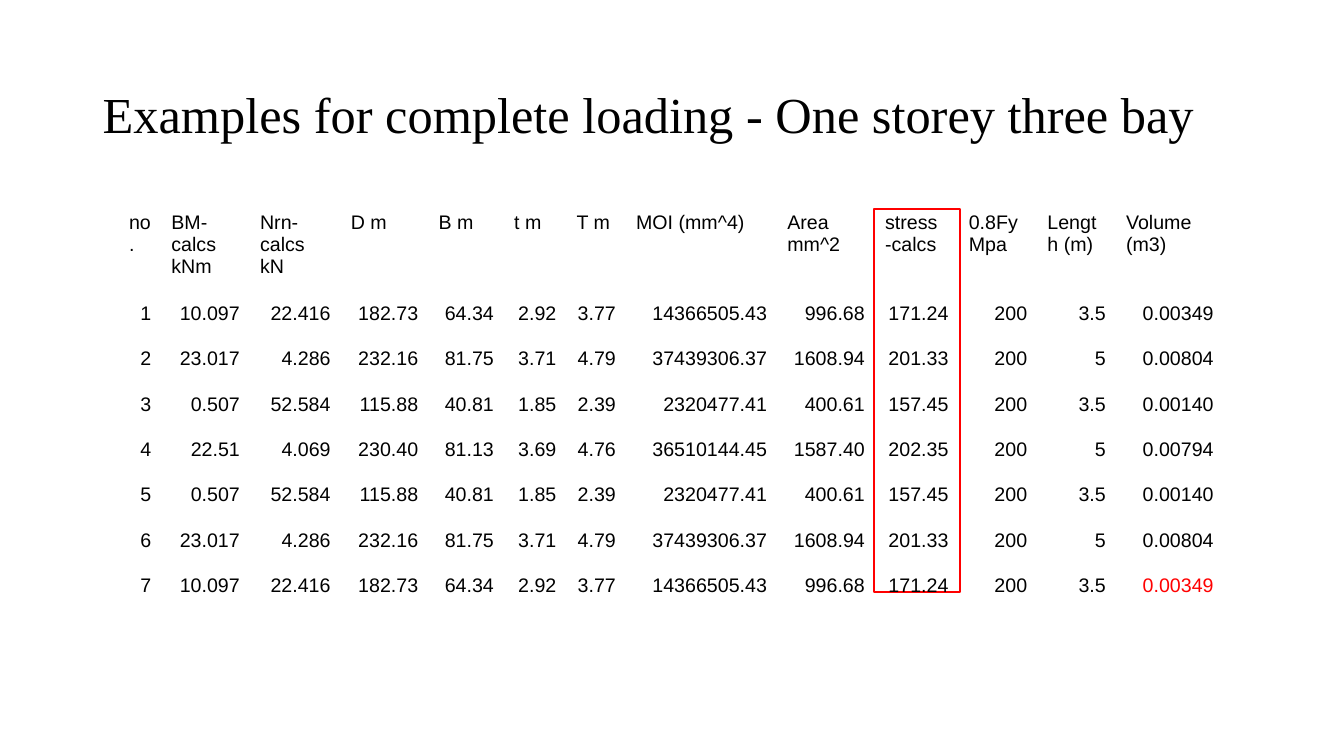
from dataclasses import dataclass

from pptx import Presentation
from pptx.dml.color import RGBColor
from pptx.enum.shapes import MSO_SHAPE
from pptx.enum.text import MSO_ANCHOR, PP_ALIGN
from pptx.oxml.ns import qn
from pptx.util import Pt

RECTANGLE = MSO_SHAPE.RECTANGLE
MIDDLE = MSO_ANCHOR.MIDDLE
LEFT, RIGHT = PP_ALIGN.LEFT, PP_ALIGN.RIGHT

EMU_PER_PX = 9144  # 100 px to the inch
BLANK_LAYOUT = 6
PLAIN_TABLE_STYLE = "{2D5ABB26-0587-4C30-8999-92F81FD0307C}"


@dataclass(frozen=True)
class Theme:
    ink: str = "000000"
    accent: str = "FF0000"
    title_font: str = "Times New Roman"
    table_font: str = "Arial"
    title_size: int = 36
    table_size: int = 14
    outline: float = 1.5


THEME = Theme()

COLUMN_WIDTHS = [42, 88, 90, 87, 75, 62, 59, 150, 97, 83, 78, 78, 107]
HEADER_HEIGHT, ROW_HEIGHT = 87, 45
CELL_INSET = 10

HEADINGS = ["no.", "BM-calcs kNm", "Nrn-calcs kN", "D m", "B m", "t m", "T m",
            "MOI (mm^4)", "Area mm^2", "stress -calcs", "0.8Fy Mpa",
            "Length (m)", "Volume (m3)"]

OUTER_COLUMN = ["10.097", "22.416", "182.73", "64.34", "2.92", "3.77",
                "14366505.43", "996.68", "171.24", "200", "3.5", "0.00349"]
OUTER_BEAM = ["23.017", "4.286", "232.16", "81.75", "3.71", "4.79",
              "37439306.37", "1608.94", "201.33", "200", "5", "0.00804"]
INNER_COLUMN = ["0.507", "52.584", "115.88", "40.81", "1.85", "2.39",
                "2320477.41", "400.61", "157.45", "200", "3.5", "0.00140"]
MIDDLE_BEAM = ["22.51", "4.069", "230.40", "81.13", "3.69", "4.76",
               "36510144.45", "1587.40", "202.35", "200", "5", "0.00794"]
# The frame is symmetric about its middle beam.
MEMBERS = [OUTER_COLUMN, OUTER_BEAM, INNER_COLUMN, MIDDLE_BEAM,
           INNER_COLUMN, OUTER_BEAM, OUTER_COLUMN]


def px(length):
    return length * EMU_PER_PX


def write_text(frame, text, *, font, size, color=THEME.ink, align=LEFT, spacing=1.0):
    para = frame.paragraphs[0]
    para.alignment = align
    para.line_spacing = spacing
    span = para.add_run()
    span.text = text
    span.font.name = font
    span.font.size = Pt(size)
    span.font.color.rgb = RGBColor.from_string(color)


def add_title(slide, text, left, top, width, height):
    box = slide.shapes.add_textbox(px(left), px(top), px(width), px(height))
    frame = box.text_frame
    frame.word_wrap = True
    frame.vertical_anchor = MIDDLE
    frame.margin_top = px(13)
    write_text(frame, text, font=THEME.title_font, size=THEME.title_size, spacing=0.9)


def add_highlight(slide, left, top, width, height):
    box = slide.shapes.add_shape(RECTANGLE, px(left), px(top), px(width), px(height))
    box.shadow.inherit = False
    box.fill.background()
    box.line.color.rgb = RGBColor.from_string(THEME.accent)
    box.line.width = Pt(THEME.outline)


def fill_cell(cell, text, **text_format):
    cell.fill.background()
    cell.margin_left = cell.margin_right = px(CELL_INSET)
    cell.margin_top = cell.margin_bottom = px(CELL_INSET)
    write_text(cell.text_frame, text, font=THEME.table_font,
               size=THEME.table_size, **text_format)


def add_member_table(slide, left, top):
    heights = [HEADER_HEIGHT] + [ROW_HEIGHT] * len(MEMBERS)
    holder = slide.shapes.add_table(
        len(heights), len(HEADINGS), px(left), px(top),
        px(sum(COLUMN_WIDTHS)), px(sum(heights)))
    for style in holder.element.iter(qn("a:tableStyleId")):
        style.text = PLAIN_TABLE_STYLE
    table = holder.table
    table.first_row = table.horz_banding = False
    for column, width in zip(table.columns, COLUMN_WIDTHS):
        column.width = px(width)
    for row, height in zip(table.rows, heights):
        row.height = px(height)

    for column, heading in enumerate(HEADINGS):
        fill_cell(table.cell(0, column), heading)
    last_cell = (len(MEMBERS), len(HEADINGS) - 1)
    for row, values in enumerate(MEMBERS, start=1):
        for column, value in enumerate([str(row), *values]):
            color = THEME.accent if (row, column) == last_cell else THEME.ink
            fill_cell(table.cell(row, column), value, color=color, align=RIGHT)


def main():
    deck = Presentation()
    deck.slide_width, deck.slide_height = px(1333), px(750)
    slide = deck.slides.add_slide(deck.slide_layouts[BLANK_LAYOUT])
    add_title(slide, "Examples for complete loading - One storey three bay",
              92, 40, 1150, 145)
    add_highlight(slide, 867, 207, 85, 380)
    add_member_table(slide, 118, 200)
    deck.save("out.pptx")


if __name__ == "__main__":
    main()
